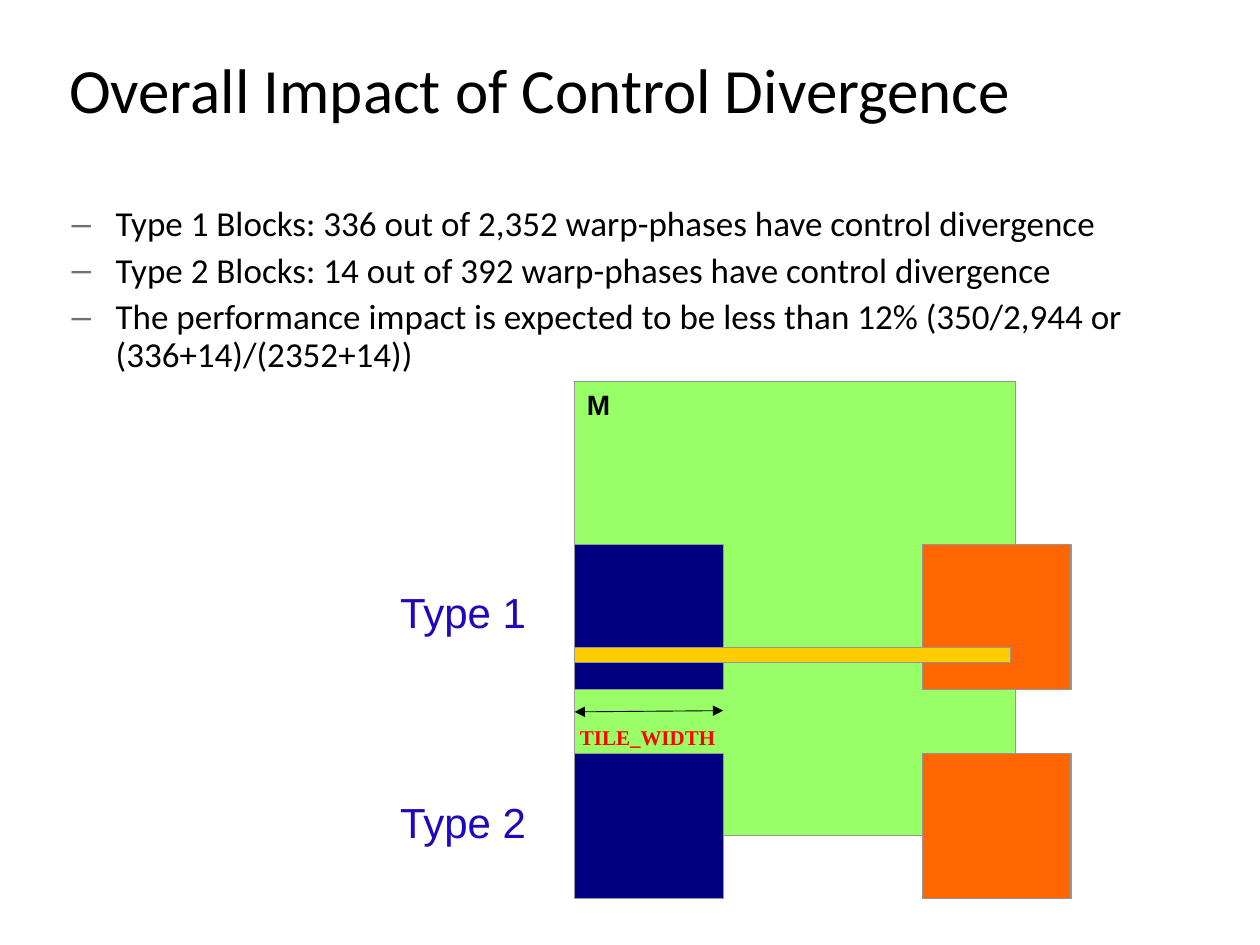
from dataclasses import dataclass
from typing import Any, Optional

from lxml.etree import SubElement
from pptx import Presentation
from pptx.dml.color import RGBColor
from pptx.enum.shapes import MSO_CONNECTOR, MSO_SHAPE
from pptx.enum.text import MSO_ANCHOR, PP_ALIGN
from pptx.oxml.ns import qn
from pptx.util import Inches, Pt


@dataclass(frozen=True)
class Theme:
    black: str = "000000"
    bullet: str = "6F6F6F"
    outline: str = "969696"
    matrix: str = "99FF66"
    first_tile: str = "000080"
    last_tile: str = "FF6600"
    row: str = "FFCC00"
    type_label: str = "1D07BF"
    width_label: str = "FF0000"
    heading_font: str = "Calibri"
    label_font: str = "Arial"
    width_font: str = "Times New Roman"
    title_size: int = 36
    body_size: int = 20
    type_size: int = 24
    matrix_size: int = 16
    width_size: int = 12


THEME = Theme()


@dataclass(frozen=True)
class Box:
    left: float
    top: float
    width: float
    height: float

    def lengths(self) -> list[int]:
        return [Inches(value) for value in (self.left, self.top, self.width, self.height)]


@dataclass(frozen=True)
class TextStyle:
    font: str
    size: int
    color: str = THEME.black
    bold: bool = False
    align: PP_ALIGN = PP_ALIGN.LEFT
    line_spacing: Optional[float] = None
    gap: float = 0
    bullet: bool = False


TITLE = TextStyle(THEME.heading_font, THEME.title_size, line_spacing=0.9)
BODY = TextStyle(THEME.heading_font, THEME.body_size, line_spacing=0.9, gap=2.5, bullet=True)
MATRIX_NAME = TextStyle(THEME.label_font, THEME.matrix_size, bold=True)
WIDTH_NAME = TextStyle(THEME.width_font, THEME.width_size, THEME.width_label, True, PP_ALIGN.CENTER)
TYPE_NAME = TextStyle(THEME.label_font, THEME.type_size, THEME.type_label,
                      align=PP_ALIGN.CENTER, line_spacing=0.9)

MATRIX = Box(4.56, 3.03, 3.5, 3.6)
TILE_WIDTH, TILE_HEIGHT = 1.18, 1.15
TILE_COLUMNS = ((7.32, THEME.last_tile), (MATRIX.left, THEME.first_tile))
TYPE_ROWS = (("Type 1", 4.32, 4.65), ("Type 2", 5.98, 6.32))
FINDINGS = (
    "Type 1 Blocks: 336 out of 2,352 warp-phases have control divergence",
    "Type 2 Blocks: 14 out of 392 warp-phases have control divergence",
    "The performance impact is expected to be less than 12% (350/2,944 or (336+14)/(2352+14))",
)


def set_format(target: Any, values: dict[str, Any]) -> None:
    for name, value in values.items():
        setattr(target, name, value)


def add_dash_bullet(paragraph: Any) -> None:
    properties = paragraph._p.get_or_add_pPr()
    properties.set("marL", str(Inches(0.35)))
    properties.set("indent", str(Inches(-0.35)))
    color = SubElement(properties, qn("a:buClr"))
    SubElement(color, qn("a:srgbClr"), val=THEME.bullet)
    SubElement(properties, qn("a:buFont"), typeface=THEME.label_font)
    SubElement(properties, qn("a:buChar"), char="–")


def write_text(shape: Any, lines: tuple[str, ...], style: TextStyle) -> None:
    frame = shape.text_frame
    for index, line in enumerate(lines):
        paragraph = frame.add_paragraph() if index else frame.paragraphs[0]
        run = paragraph.add_run()
        run.text = line
        set_format(paragraph, {
            "alignment": style.align,
            "line_spacing": style.line_spacing,
            "space_before": Pt(style.gap),
            "space_after": Pt(style.gap),
        })
        set_format(run.font, {"name": style.font, "size": Pt(style.size), "bold": style.bold})
        run.font.color.rgb = RGBColor.from_string(style.color)
        if style.bullet:
            add_dash_bullet(paragraph)


def add_text(slide: Any, box: Box, lines: tuple[str, ...], style: TextStyle,
             **frame_format: Any) -> None:
    shape = slide.shapes.add_textbox(*box.lengths())
    set_format(shape.text_frame, {"word_wrap": True, "vertical_anchor": MSO_ANCHOR.TOP} | frame_format)
    write_text(shape, lines, style)


def add_rectangle(slide: Any, box: Box, color: str) -> Any:
    shape = slide.shapes.add_shape(MSO_SHAPE.RECTANGLE, *box.lengths())
    shape.shadow.inherit = False
    shape.fill.solid()
    shape.fill.fore_color.rgb = RGBColor.from_string(color)
    shape.line.color.rgb = RGBColor.from_string(THEME.outline)
    shape.line.width = Pt(0.75)
    return shape


def add_double_arrow(slide: Any, start: tuple[float, float], end: tuple[float, float]) -> None:
    points = [Inches(value) for value in (*start, *end)]
    connector = slide.shapes.add_connector(MSO_CONNECTOR.STRAIGHT, *points)
    connector.line.color.rgb = RGBColor.from_string(THEME.black)
    connector.line.width = Pt(0.5)
    line = connector.line._get_or_add_ln()
    for tag in ("a:headEnd", "a:tailEnd"):
        SubElement(line, qn(tag), type="triangle")
    SubElement(connector._element.spPr, qn("a:effectLst"))


def add_matrix(slide: Any) -> None:
    matrix = add_rectangle(slide, MATRIX, THEME.matrix)
    matrix.text_frame.vertical_anchor = MSO_ANCHOR.TOP
    write_text(matrix, ("M",), MATRIX_NAME)
    add_double_arrow(slide, (MATRIX.left, 5.65), (MATRIX.left + TILE_WIDTH, 5.64))
    margins = {f"margin_{side}": 0 for side in ("left", "top", "right", "bottom")}
    add_text(slide, Box(4.6, 5.75, 1.08, 0.2), ("TILE_WIDTH",), WIDTH_NAME,
             word_wrap=False, **margins)


def add_tile_rows(slide: Any) -> None:
    for name, tile_top, label_top in TYPE_ROWS:
        for left, color in TILE_COLUMNS:
            add_rectangle(slide, Box(left, tile_top, TILE_WIDTH, TILE_HEIGHT), color)
        add_text(slide, Box(3.07, label_top, 1.21, 0.46), (name,), TYPE_NAME,
                 word_wrap=False, vertical_anchor=MSO_ANCHOR.MIDDLE)
    add_rectangle(slide, Box(MATRIX.left, 5.14, 3.46, 0.12), THEME.row)


def main() -> None:
    presentation = Presentation()
    set_format(presentation, {"slide_width": Inches(10), "slide_height": Inches(7.5)})
    slide = presentation.slides.add_slide(presentation.slide_layouts[6])
    add_text(slide, Box(0.45, 0.42, 9.09, 0.77), ("Overall Impact of Control Divergence",), TITLE)
    add_text(slide, Box(0.47, 1.59, 9.07, 5.46), FINDINGS, BODY)
    add_matrix(slide)
    add_tile_rows(slide)
    presentation.save("out.pptx")


if __name__ == "__main__":
    main()
